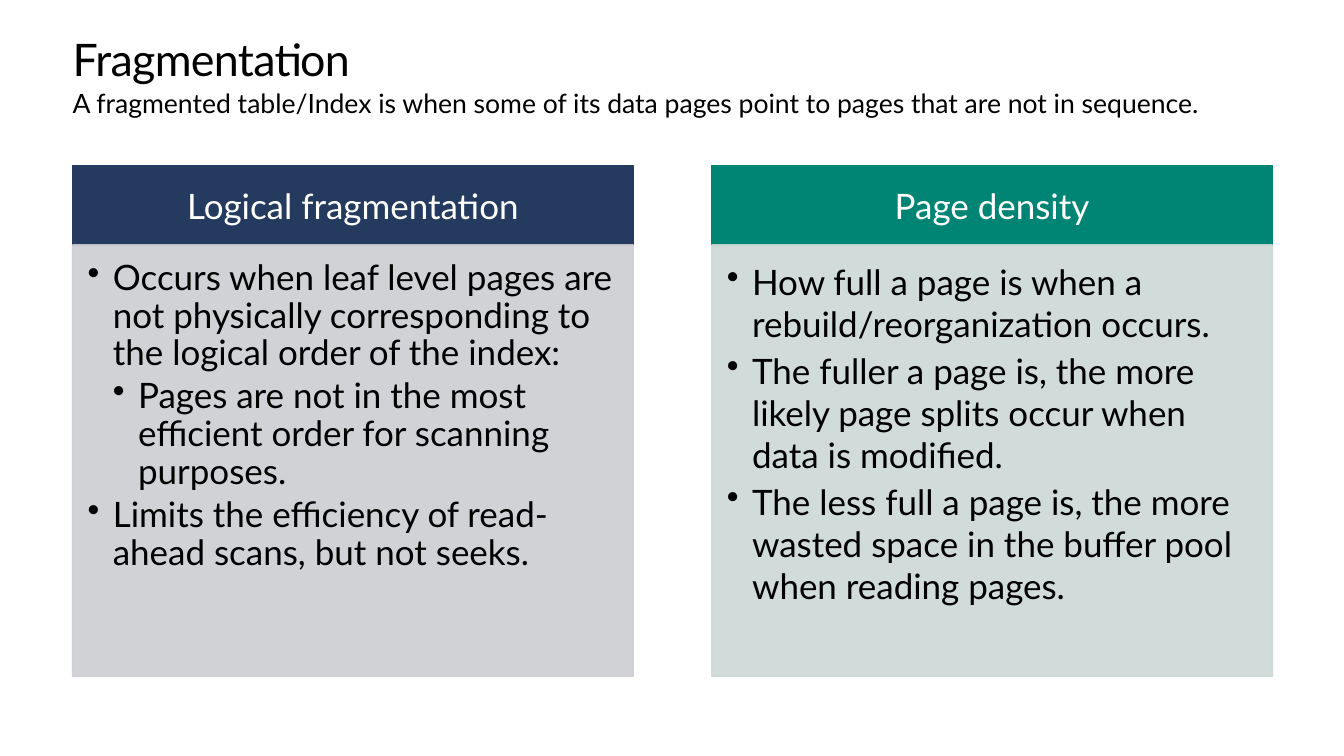
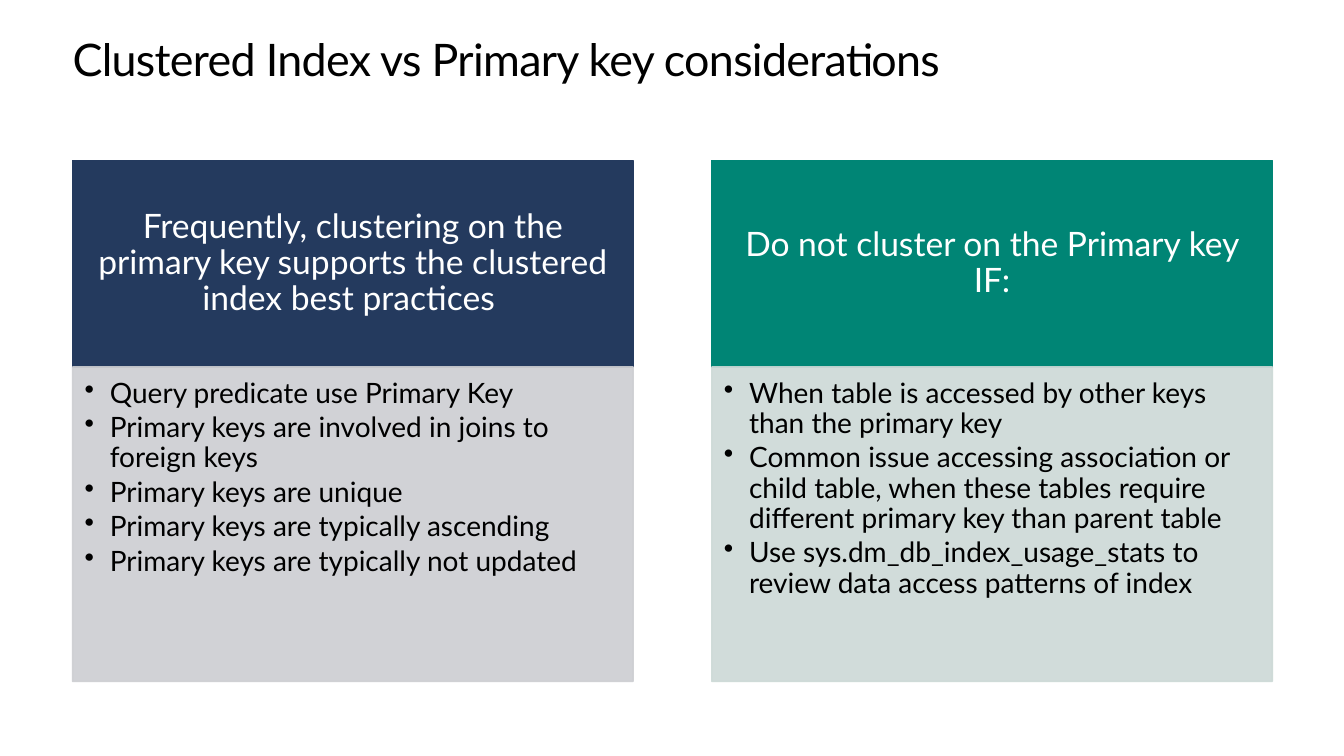
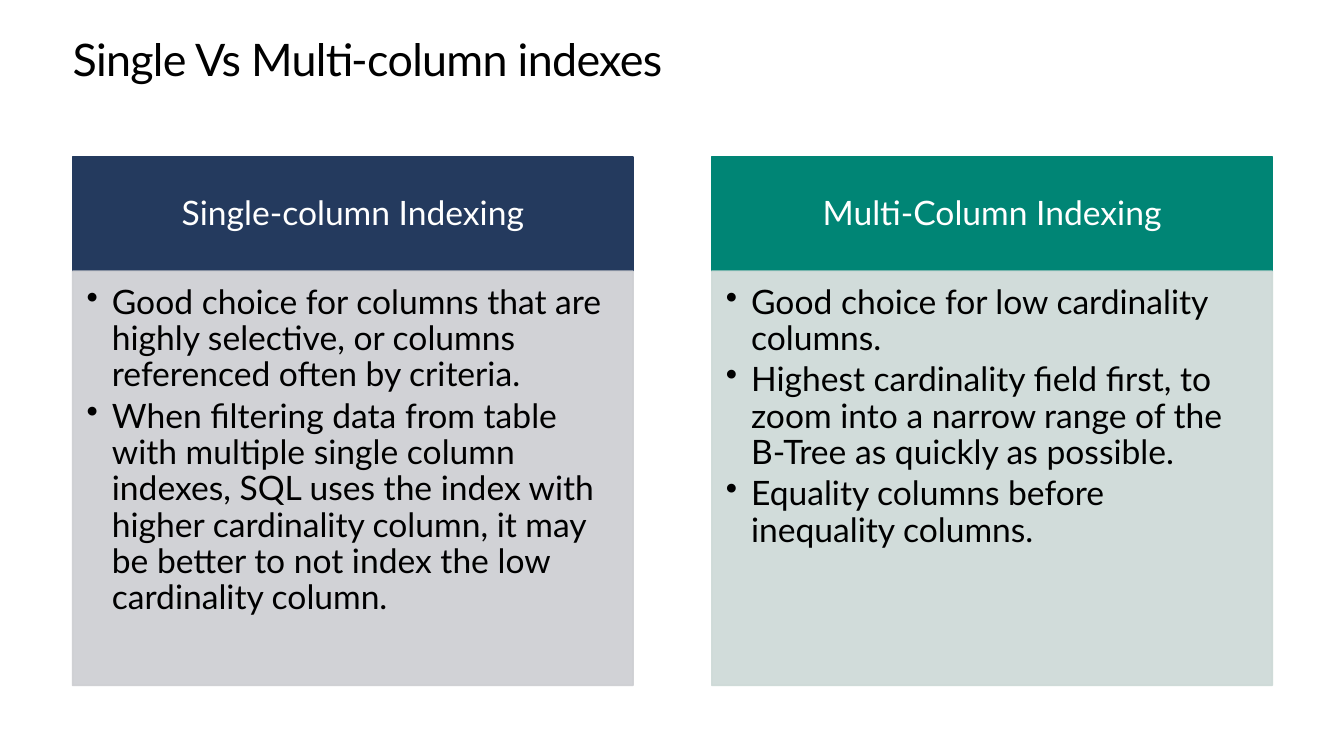
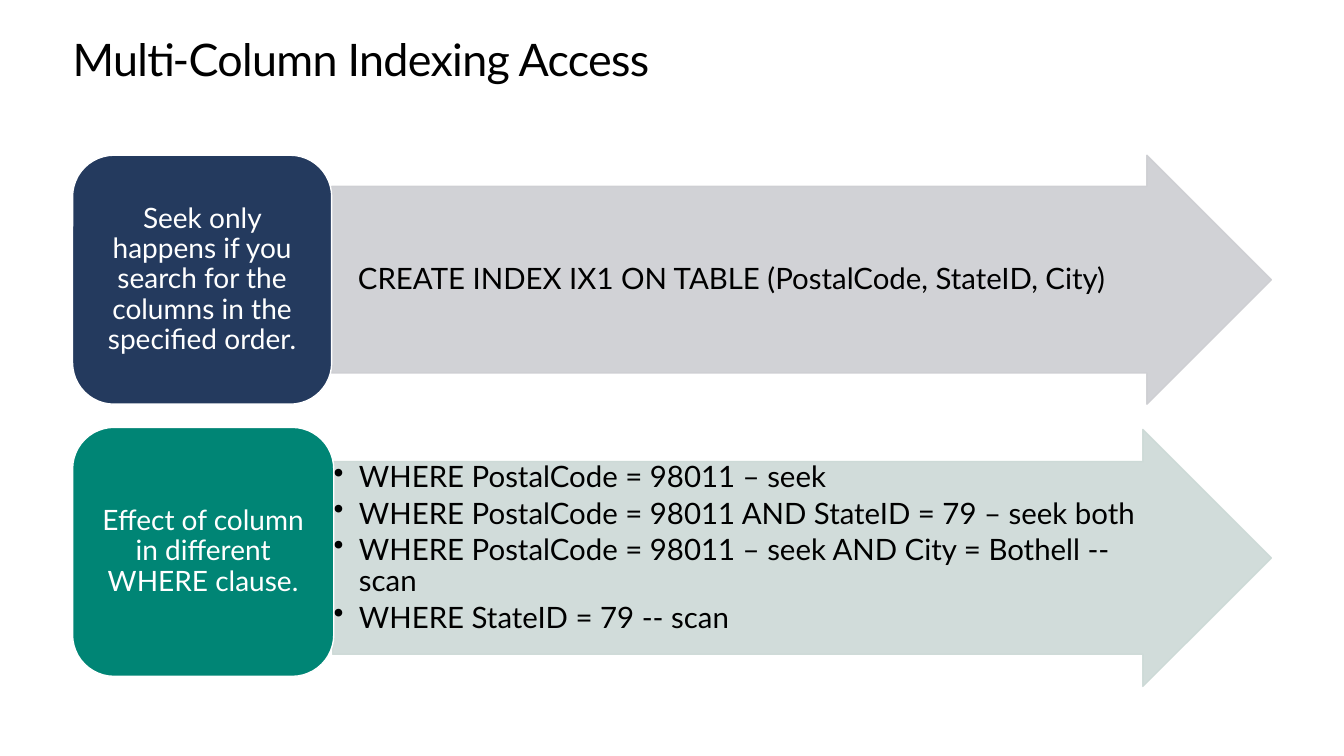
from pptx import Presentation, util as u
from pptx.dml.color import RGBColor
from pptx.enum import shapes, text
from pptx.oxml.ns import qn
from lxml import etree

PX = 9144  # EMU per px, 100 px to the inch
LEFT, WIDTH = 72, 1190
COLUMN, GAP = 556, 78
BLACK, WHITE = "000000", "FFFFFF"
SCHEMES = [("243A5E", "CDCED2"), ("008575", "CCD9D6")]  # strong, pale
SHAPE, ALIGN, ANCHOR = shapes.MSO_SHAPE, text.PP_ALIGN, text.MSO_ANCHOR


def rgb(color):
    return RGBColor.from_string(color)


class Deck:
    font = "Lato"

    def __init__(self):
        self.prs = Presentation()
        self.prs.slide_width, self.prs.slide_height = 1333 * PX, 750 * PX

    def slide(self, title):
        self.s = self.prs.slides.add_slide(self.prs.slide_layouts[6])
        p, r = self.line(35, title, 32)
        p.line_spacing = u.Pt(36.2)
        r.font._element.set("spc", "-50")

    def line(self, y, words, size):
        """Text across the full width of the slide's content."""
        sp = self.s.shapes.add_textbox(LEFT * PX, y * PX, WIDTH * PX, 50 * PX)
        tf = self.frame(sp, (0, 0, 0, 0))
        return tf.paragraphs[0], self.run(tf.paragraphs[0], words, size)

    def frame(self, sp, insets, anchor=ANCHOR.TOP):
        tf = sp.text_frame
        tf.word_wrap = True
        tf.vertical_anchor = anchor
        tf.margin_left, tf.margin_top, tf.margin_right, tf.margin_bottom = (
            i * PX for i in insets)
        return tf

    def run(self, p, words, size, color=BLACK):
        r = p.add_run()
        r.text = words
        r.font.name, r.font.size = self.font, u.Pt(size)
        r.font.color.rgb = rgb(color)
        return r

    def shape(self, kind, box, fill, line, alpha=None):
        sp = self.s.shapes.add_shape(kind, *(v * PX for v in box))
        sp.shadow.inherit = False
        sp.fill.solid()
        sp.fill.fore_color.rgb = rgb(fill)
        sp.line.color.rgb = rgb(line)
        sp.line.width = u.Pt(1)
        if alpha:
            for clr in sp.element.spPr.iter(qn("a:srgbClr")):
                etree.SubElement(clr, qn("a:alpha")).set("val", str(alpha * 1000))
        return sp

    def label(self, kind, box, fill, line, words, size, insets):
        """Strong coloured shape with centred white text."""
        sp = self.shape(kind, box, fill, line)
        p = self.frame(sp, insets, ANCHOR.MIDDLE).paragraphs[0]
        p.alignment, p.line_spacing = ALIGN.CENTER, 0.9
        self.run(p, words, size, WHITE)
        return p

    def bullets(self, tf, items, size, spacing=0.9, char="•"):
        """Each item is a string, or a (level, string) pair."""
        for i, item in enumerate(items):
            level, words = (0, item) if isinstance(item, str) else item
            p = tf.add_paragraph() if i else tf.paragraphs[0]
            p.level, p.alignment = level, ALIGN.LEFT
            p.line_spacing = spacing
            if i < len(items) - 1:
                p.space_after = u.Pt(size * 0.15)
            pPr = p._p.get_or_add_pPr()
            pPr.set("marL", str(25 * (level + 1) * PX))
            if char:
                pPr.set("indent", str(-25 * PX))
                etree.SubElement(pPr, qn("a:buChar")).set("char", char)
            else:
                pPr.set("indent", "0")
            self.run(p, words, size)

    def columns(self, y, head, body, head_size, size, cards, spacings=(0.9, 0.9)):
        """Two cards side by side, each a heading over a bullet list."""
        insets = (size * 3 // 5, size * 3 // 5, size * 78 // 100, size * 4 // 5)
        for i, (heading, items) in enumerate(cards):
            x = LEFT + i * (COLUMN + GAP)
            strong, pale = SCHEMES[i]
            p = self.label(SHAPE.RECTANGLE, (x, y, COLUMN, head), strong, strong,
                           heading, head_size, (19, 11, 19, 11))
            p.line_spacing = spacings[i] if head < 100 else 0.9
            if head < 100:
                p.line_spacing = 1.0
            sp = self.shape(SHAPE.RECTANGLE, (x, y + head, COLUMN, body), pale, pale, 90)
            self.bullets(self.frame(sp, insets), items, size, spacings[i])

    def arrow(self, scheme, box, items, char="•", anchor=ANCHOR.TOP):
        pale = scheme[1]
        sp = self.shape(SHAPE.RIGHT_ARROW, box, pale, pale, 90)
        sp.adjustments[0], sp.adjustments[1] = 0.75, 0.5
        self.bullets(self.frame(sp, (1, 1, 1, 1), anchor), items, 21, char=char)

    def tile(self, scheme, box, words):
        self.label(SHAPE.ROUNDED_RECTANGLE, box, scheme[0], WHITE, words, 20, (8, 4, 8, 4))


def main():
    d = Deck()

    d.slide("Fragmentation")
    d.line(86, "A fragmented table/Index is when some of its data pages point to "
               "pages that are not in sequence.", 19)
    d.columns(164, 79, 428, 25, 25, [
        ("Logical fragmentation", [
            "Occurs when leaf level pages are not physically corresponding to the "
            "logical order of the index:",
            (1, "Pages are not in the most efficient order for scanning purposes."),
            "Limits the efficiency of read-ahead scans, but not seeks."]),
        ("Page density", [
            "How full a page is when a rebuild/reorganization occurs.",
            "The fuller a page is, the more likely page splits occur when data is modified.",
            "The less full a page is, the more wasted space in the buffer pool when "
            "reading pages."]),
    ], spacings=(0.9, 1.0))

    d.slide("Clustered Index vs Primary key considerations")
    d.columns(159, 205, 312, 24, 20, [
        ("Frequently, clustering on the primary key supports the clustered index "
         "best practices ", [
             "Query predicate use Primary Key",
             "Primary keys are involved in joins to foreign keys",
             "Primary keys are unique",
             "Primary keys are typically ascending",
             "Primary keys are typically not updated"]),
        ("Do not cluster on the Primary key IF:", [
            "When table is accessed by other keys than the primary key",
            "Common issue accessing association or child table, when these tables "
            "require different primary key than parent table",
            "Use sys.dm_db_index_usage_stats to review data access patterns of index"]),
    ])

    d.slide("Single Vs Multi-column indexes")
    d.columns(156, 113, 411, 24, 24, [
        ("Single-column Indexing", [
            "Good choice for columns that are highly selective, or columns referenced "
            "often by criteria.",
            "When filtering data from table with multiple single column indexes, SQL "
            "uses the index with higher cardinality column, it may be better to not "
            "index the low cardinality column."]),
        ("Multi-Column Indexing", [
            "Good choice for low cardinality columns.",
            "Highest cardinality field first, to zoom into a narrow range of the "
            "B-Tree as quickly as possible.",
            "Equality columns before inequality columns."]),
    ])

    d.slide("Multi-Column Indexing Access")
    navy, green = SCHEMES
    d.arrow(navy, (329, 154, 932, 247),
            ["CREATE INDEX IX1 ON TABLE (PostalCode, StateID, City)"],
            char=None, anchor=ANCHOR.MIDDLE)
    d.tile(navy, (LEFT, 154, 257, 247),
           "Seek only happens if you search for the columns in the specified order.")
    d.arrow(green, (330, 426, 931, 255), [
        "WHERE PostalCode = 98011 – seek",
        "WHERE PostalCode = 98011 AND StateID = 79 – seek both",
        "WHERE PostalCode = 98011 – seek AND City = Bothell -- scan",
        "WHERE StateID = 79 -- scan"])
    d.tile(green, (LEFT, 424, 259, 247), "Effect of column in different WHERE clause.")

    d.prs.save("out.pptx")


if __name__ == "__main__":
    main()
